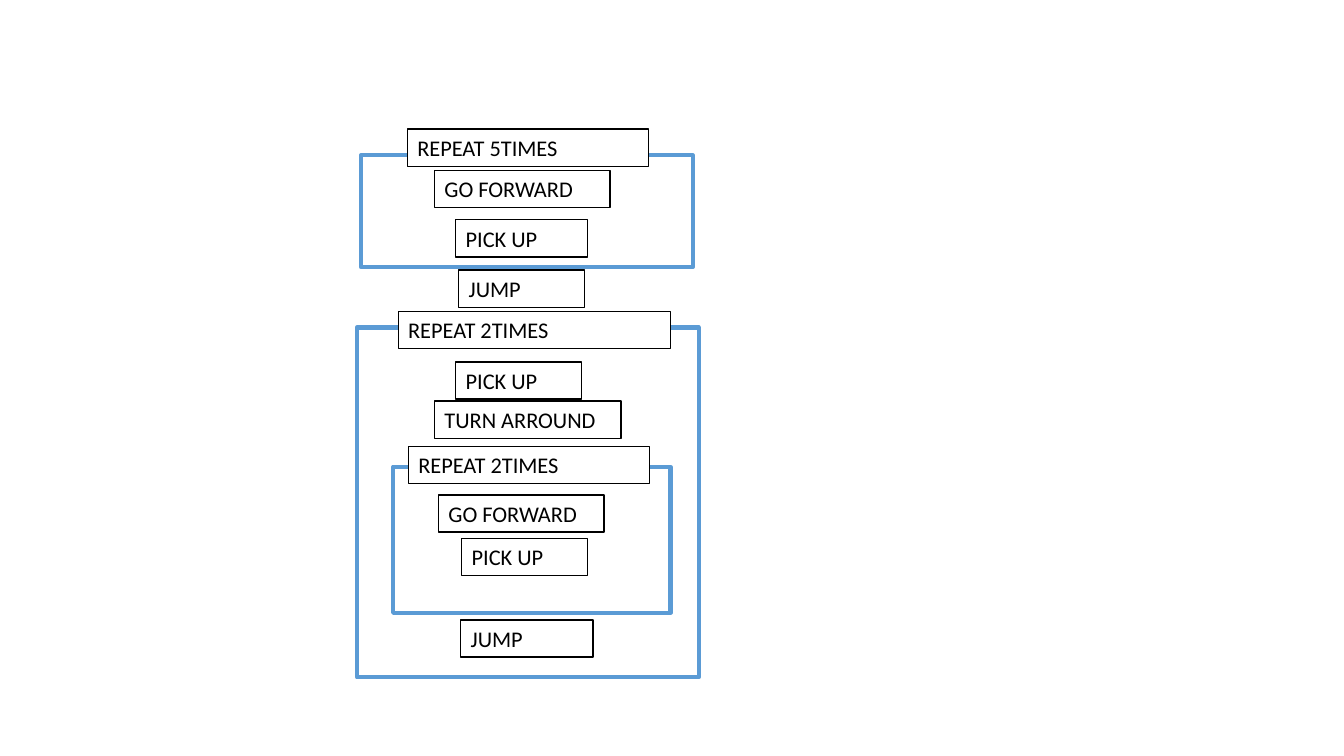
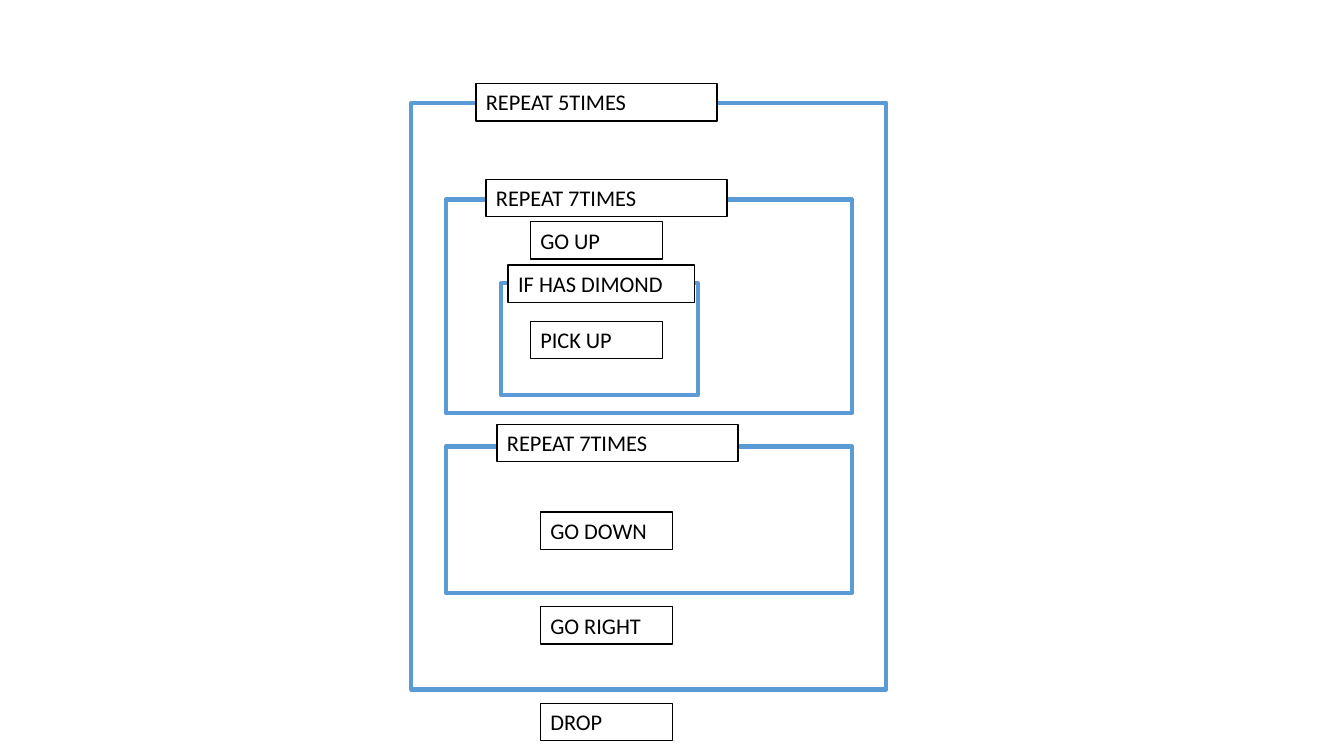
from dataclasses import dataclass

from pptx import Presentation
from pptx.dml.color import RGBColor
from pptx.enum.shapes import MSO_SHAPE
from pptx.enum.text import MSO_ANCHOR, MSO_AUTO_SIZE
from pptx.util import Inches, Pt

RECT = MSO_SHAPE.RECTANGLE
TOP = MSO_ANCHOR.TOP
GROW = MSO_AUTO_SIZE.SHAPE_TO_FIT_TEXT

WHITE = RGBColor(0xFF, 0xFF, 0xFF)
BLACK = RGBColor(0x00, 0x00, 0x00)
BLUE = RGBColor(0x5B, 0x9B, 0xD5)

FONT = "Calibri"
FONT_SIZE = 16
LABEL_HEIGHT = 0.37
COMMAND_WIDTH = 1.31
SHORT_WIDTH = 1.25
REPEAT_WIDTH = 2.39


@dataclass(frozen=True)
class Frame:
    """Blue outline around the commands of a block."""
    left: float
    top: float
    width: float
    height: float


@dataclass(frozen=True)
class Label:
    """Black-edged box holding one command."""
    text: str
    left: float
    top: float
    width: float = COMMAND_WIDTH


# Each slide lists its parts from back to front
NESTED_REPEATS = [
    Frame(3.58, 1.54, 3.29, 1.11),
    Label("REPEAT 5TIMES", 4.04, 1.28, REPEAT_WIDTH),
    Label("GO FORWARD", 4.31, 1.69, 1.74),
    Label("PICK UP", 4.52, 2.18),
    Frame(3.54, 3.25, 3.39, 3.47),
    Label("JUMP", 4.55, 2.68, SHORT_WIDTH),
    Label("REPEAT 2TIMES", 3.95, 3.09, 2.7),
    Label("PICK UP", 4.52, 3.59, SHORT_WIDTH),
    Label("TURN ARROUND", 4.31, 3.98, 1.85),
    Frame(3.9, 4.63, 2.75, 1.45),
    Label("REPEAT 2TIMES", 4.05, 4.43, REPEAT_WIDTH),
    Label("GO FORWARD", 4.35, 4.91, 1.64),
    Label("PICK UP", 4.58, 5.34, SHORT_WIDTH),
    Label("JUMP", 4.57, 6.15),
]

REPEATS_WITH_CONDITION = [
    Frame(4.08, 1.02, 4.71, 5.82),
    Label("REPEAT 5TIMES", 4.72, 0.83, REPEAT_WIDTH),
    Frame(4.42, 1.98, 4.03, 2.12),
    Label("REPEAT 7TIMES", 4.82, 1.78, REPEAT_WIDTH),
    Label("GO UP", 5.26, 2.2),
    Frame(4.97, 2.81, 1.95, 1.11),
    Label("IF HAS DIMOND", 5.04, 2.63, 1.85),
    Label("PICK UP", 5.26, 3.19),
    Frame(4.42, 4.43, 4.03, 1.45),
    Label("REPEAT 7TIMES", 4.93, 4.21, REPEAT_WIDTH),
    Label("GO DOWN", 5.36, 5.08),
    Label("GO RIGHT", 5.36, 6.02),
    Label("DROP", 5.36, 6.98),
]


def style_box(sp, line_color: RGBColor, line_width: float) -> None:
    sp.fill.solid()
    sp.fill.fore_color.rgb = WHITE
    sp.line.color.rgb = line_color
    sp.line.width = Pt(line_width)


def draw_frame(slide, frame: Frame) -> None:
    sp = slide.shapes.add_shape(RECT, Inches(frame.left), Inches(frame.top),
                                Inches(frame.width), Inches(frame.height))
    sp.shadow.inherit = False
    style_box(sp, BLUE, 3)


def draw_label(slide, label: Label) -> None:
    sp = slide.shapes.add_textbox(Inches(label.left), Inches(label.top),
                                  Inches(label.width), Inches(LABEL_HEIGHT))
    style_box(sp, BLACK, 1)
    tf = sp.text_frame
    tf.word_wrap = True
    tf.auto_size = GROW
    tf.vertical_anchor = TOP
    p = tf.paragraphs[0]
    p.text = label.text
    p.font.name = FONT
    p.font.size = Pt(FONT_SIZE)
    p.font.color.rgb = BLACK


def add_program(prs, parts: list[Frame | Label]) -> None:
    s = prs.slides.add_slide(prs.slide_layouts[6])
    for part in parts:
        if isinstance(part, Frame):
            draw_frame(s, part)
        else:
            draw_label(s, part)


def main() -> None:
    prs = Presentation()
    prs.slide_width = Inches(13.33)
    prs.slide_height = Inches(7.5)
    for parts in (NESTED_REPEATS, REPEATS_WITH_CONDITION):
        add_program(prs, parts)
    prs.save("out.pptx")


if __name__ == "__main__":
    main()
